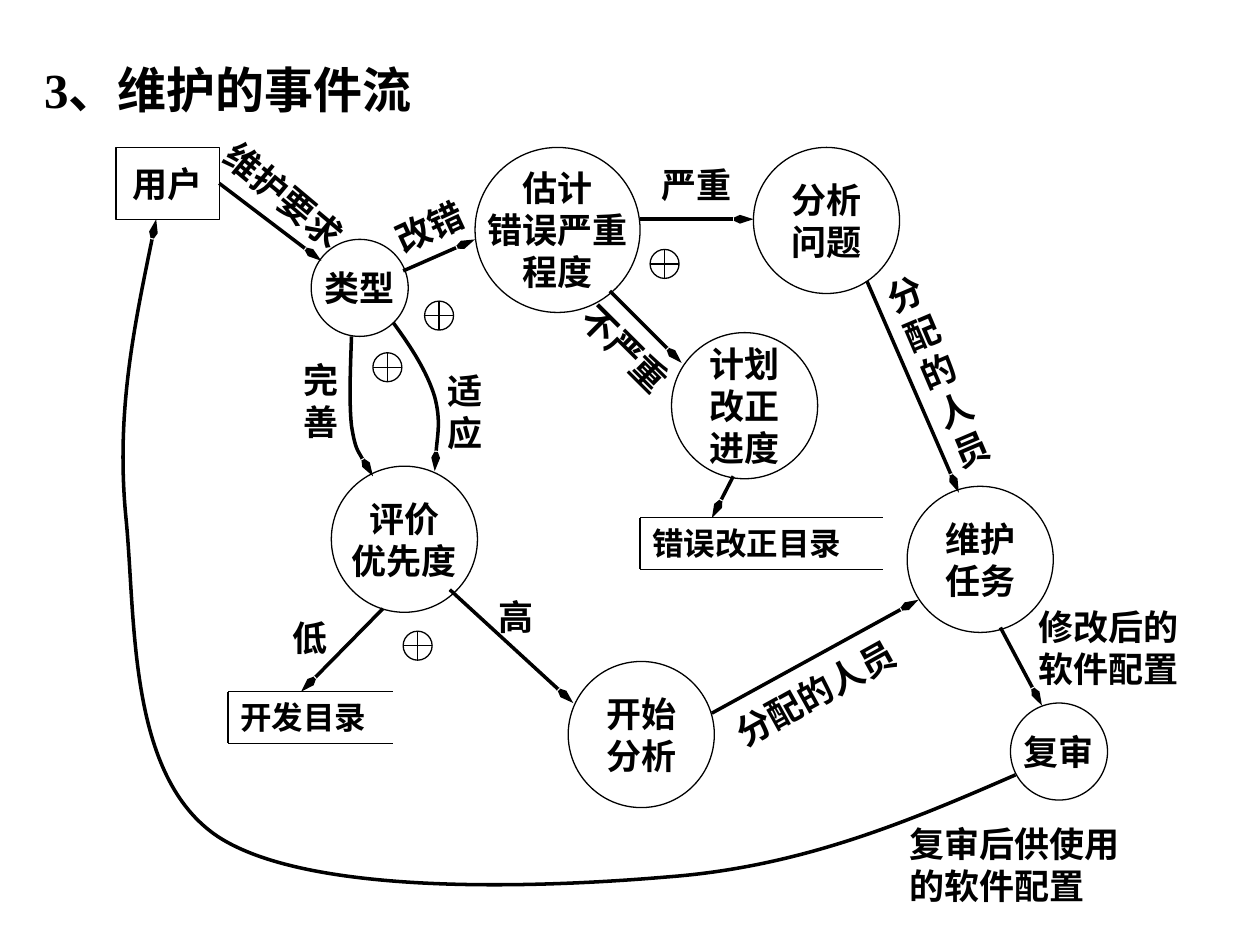
from lxml.etree import SubElement
from pptx import Presentation
from pptx.dml.color import RGBColor
from pptx.enum.shapes import MSO_CONNECTOR, MSO_SHAPE
from pptx.enum.text import MSO_ANCHOR, MSO_AUTO_SIZE, PP_ALIGN
from pptx.oxml.ns import qn
from pptx.util import Inches, Pt

COLORS = {"ink": "000000", "paper": "FFFFFF"}
FONT = "Times New Roman"
COLUMNS, ROWS = 100, 75
WIDTH, HEIGHT = Inches(10), Inches(7.5)
THIN, THICK = 0.75, 2

# Circles: text lines, left column, top row, diameter
PROCESSES = [
    (["类型"], 24.7, 19, 7.7),
    (["估计", "错误严重", "程度"], 37.7, 11.7, 13.1),
    (["计划", "改正", "进度"], 53.3, 26.4, 11.6),
    (["分析", "问题"], 59.8, 11.7, 11.6),
    (["维护", "任务"], 72, 38.6, 11.6),
    (["复审"], 80.2, 55.8, 7.7),
    (["评价", "优先度"], 26.3, 37, 11.6),
    (["开始", "分析"], 45.1, 52.5, 11.6),
]
# Straight flows: start and end as column, row
FLOWS = [
    ((32, 21.5), (37.7, 19)),
    ((48.4, 23.1), (54.1, 28.8)),
    ((58.2, 37.8), (56.5, 41.1)),
    ((50.8, 17.4), (59.8, 17.4)),
    ((68.8, 22.3), (76.1, 39.1)),
    ((79.4, 49.8), (82.7, 56)),
    ((30.4, 48.3), (23.9, 54.9)),
    ((35.7, 46.8), (45.5, 55.8)),
    ((56.5, 56.6), (72.9, 47.6)),
]
# Curved flows: a start point, then three Bezier points for each stretch
CURVES = [
    [(31.2, 25.6), (32.6, 27.5), (33.9, 29.5), (34.5, 31.5),
     (35, 33.4), (34.5, 36.4), (34.5, 37.4)],
    [(27.9, 26.7), (27.8, 29.4), (27.7, 32), (27.9, 33.8),
     (28.2, 35.7), (28.9, 36.7), (29.6, 37.8)],
    [(80.6, 61.5), (72.1, 65.2), (63.6, 68.8), (53, 69.6),
     (42.5, 70.5), (24.5, 71.1), (17.3, 66.4),
     (10.1, 61.6), (10.8, 49.2), (10, 41.1),
     (9.2, 32.9), (10.8, 25.1), (12.4, 17.4)],
]
# Flow labels: text, left, top, width, height, rotation, alignment
LABELS = [
    ("维护要求", 14.8, 13.3, 15.5, 4.4, 40, PP_ALIGN.CENTER),
    ("改错", 29.6, 15.8, 9, 4.4, -25, PP_ALIGN.CENTER),
    ("不严重", 43.5, 25.5, 12.2, 4.4, 45, PP_ALIGN.CENTER),
    ("严重", 50.8, 12.5, 9, 4.4, 0, PP_ALIGN.CENTER),
    ("分配的人员", 72.1, 20.6, 4.9, 17.7, -23, PP_ALIGN.LEFT),
    ("修改后的软件配置", 81.4, 47.6, 14.7, 7.7, 0, PP_ALIGN.LEFT),
    ("完善", 23.1, 28, 4.9, 7.7, 0, PP_ALIGN.LEFT),
    ("适应", 34.5, 28.8, 4.9, 7.7, 0, PP_ALIGN.LEFT),
    ("低", 22.2, 48.4, 4.9, 4.4, 0, PP_ALIGN.LEFT),
    ("高", 38.6, 46.8, 7.3, 4.4, 0, PP_ALIGN.LEFT),
    ("分配的人员", 56.5, 51.7, 20.4, 4.4, -29, PP_ALIGN.LEFT),
    ("复审后供使用的软件配置", 71.2, 64.8, 18.8, 7.7, 0, PP_ALIGN.LEFT),
]
OR_MARKS = [(51.6, 19.8), (29.6, 28), (33.7, 23.9), (32, 50.1)]
# Data stores: text, left, top, width
STORES = [("错误改正目录", 50.8, 41.1, 19.3), ("开发目录", 18.1, 54.9, 13.1)]


def grid(column, row):
    return round(WIDTH * column / COLUMNS), round(HEIGHT * row / ROWS)


def color(name):
    return RGBColor.from_string(COLORS[name])


def write(shape, lines, size, align):
    frame = shape.text_frame
    frame.text = "\n".join(lines)
    for para in frame.paragraphs:
        para.alignment = align
        for span in para.runs:
            span.font.name = FONT
            span.font.size = Pt(size)
            span.font.bold = True
            span.font.color.rgb = color("ink")
    return frame


def add_title(page, text):
    title = page.shapes.title
    title.left, title.top = grid(2.5, 4.2)
    title.width, title.height = grid(36.7, 5.7)
    frame = write(title, [text], 28, PP_ALIGN.LEFT)
    frame.vertical_anchor = MSO_ANCHOR.TOP
    frame.auto_size = MSO_AUTO_SIZE.NONE


def add_outline(page, kind, left, top, width, height):
    shape = page.shapes.add_shape(kind, *grid(left, top), *grid(width, height))
    shape.shadow.inherit = False
    shape.fill.background()
    shape.line.color.rgb = color("ink")
    shape.line.width = Pt(THIN)
    return shape


def add_node(page, kind, lines, left, top, width, height):
    node = add_outline(page, kind, left, top, width, height)
    frame = write(node, lines, 20, PP_ALIGN.CENTER)
    frame.word_wrap = False
    frame.vertical_anchor = MSO_ANCHOR.MIDDLE
    return node


def add_label(page, text, left, top, width, height, rotation=0,
              align=PP_ALIGN.LEFT, size=20):
    box = page.shapes.add_textbox(*grid(left, top), *grid(width, height))
    box.rotation = rotation
    write(box, [text], size, align).word_wrap = True


def add_arrowhead(line):
    SubElement(line.line._get_or_add_ln(), qn("a:tailEnd"),
               type="arrow", w="sm", len="lg")


def add_line(page, start, end, width=THIN):
    line = page.shapes.add_connector(MSO_CONNECTOR.STRAIGHT,
                                     *grid(*start), *grid(*end))
    line.line.color.rgb = color("ink")
    line.line.width = Pt(width)
    SubElement(line._element.spPr, qn("a:effectLst"))
    return line


def add_flow(page, start, end):
    flow = add_line(page, start, end, THICK)
    add_arrowhead(flow)
    return flow


def add_curve(page, points):
    start, *others = [grid(*point) for point in points]
    builder = page.shapes.build_freeform(*start)
    builder.add_line_segments(others, close=False)
    curve = builder.convert_to_shape()
    curve.shadow.inherit = False
    curve.fill.background()
    curve.line.color.rgb = color("ink")
    curve.line.width = Pt(THICK)
    add_arrowhead(curve)
    # Turn each three straight steps into one Bezier stretch
    outline = curve._element.find(".//" + qn("a:path"))
    steps = outline.findall(qn("a:lnTo"))
    for first in range(0, len(steps), 3):
        stretch = SubElement(outline, qn("a:cubicBezTo"))
        for step in steps[first:first + 3]:
            stretch.append(step[0])
            outline.remove(step)


def add_store(page, text, left, top, width, height=4.1):
    right, bottom = left + width, top + height
    add_line(page, (left, top), (right, top))
    add_line(page, (left, bottom), (right, bottom))
    add_line(page, (left, top), (left, bottom))
    add_label(page, text, left, top, width, height, size=18)


def main():
    deck = Presentation()
    deck.slide_width, deck.slide_height = WIDTH, HEIGHT
    page = deck.slides.add_slide(deck.slide_layouts[5])
    page.background.fill.solid()
    page.background.fill.fore_color.rgb = color("paper")
    add_title(page, "3、维护的事件流")

    # Nodes and data stores
    user = add_node(page, MSO_SHAPE.FLOWCHART_PROCESS, ["用户"],
                    9.2, 11.7, 8.2, 5.7)
    for lines, left, top, size in PROCESSES:
        add_node(page, MSO_SHAPE.OVAL, lines, left, top, size, size)
    for store in STORES:
        add_store(page, *store)
    for left, top in OR_MARKS:
        add_outline(page, MSO_SHAPE.FLOWCHART_OR, left, top, 2.3, 2.3)

    # Flows and their labels
    request = add_flow(page, (17.4, 14.55), (25.5, 20.7))
    request.begin_connect(user, 3)
    for start, end in FLOWS:
        add_flow(page, start, end)
    for points in CURVES:
        add_curve(page, points)
    for label in LABELS:
        add_label(page, *label)

    deck.save("out.pptx")


if __name__ == "__main__":
    main()
